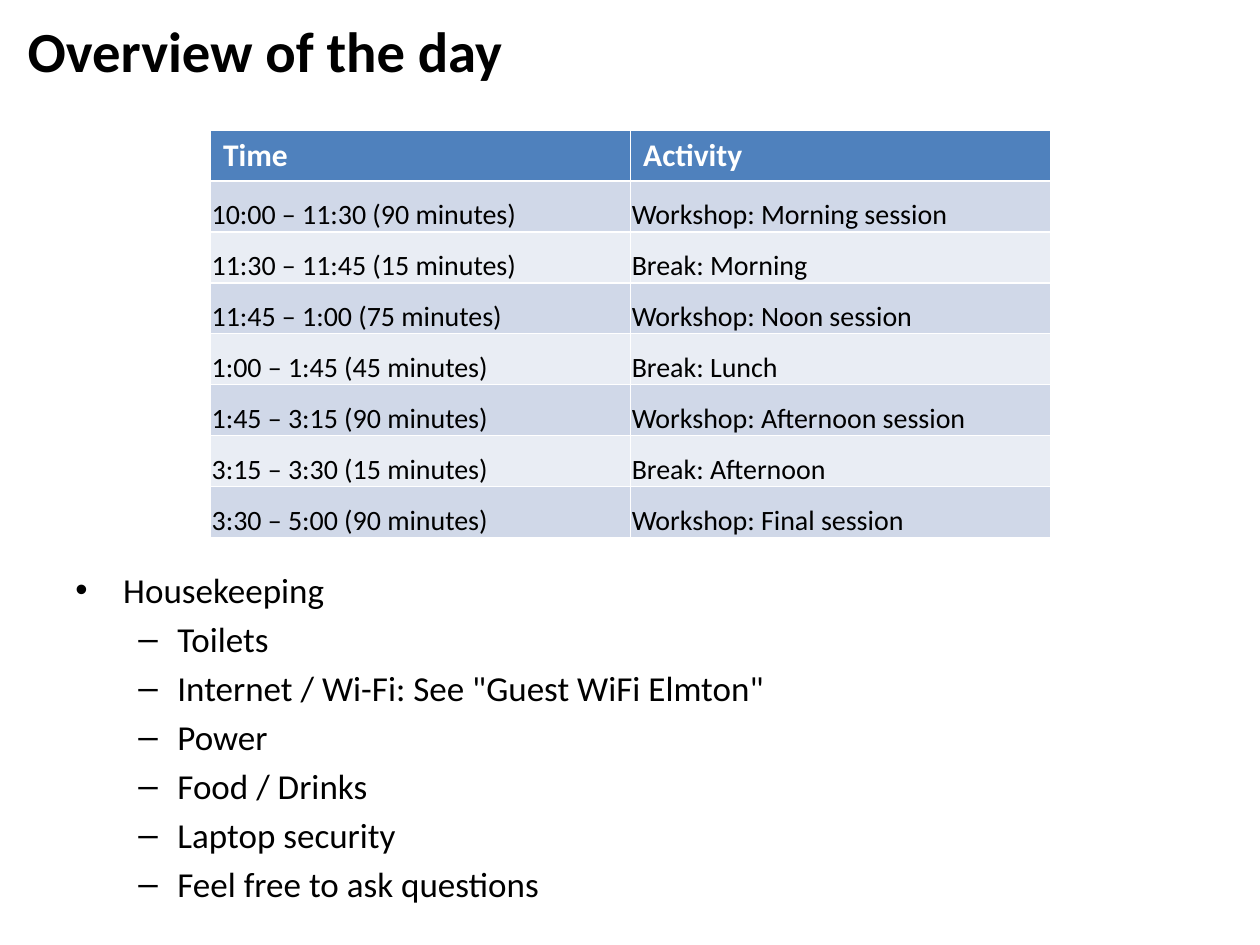
from dataclasses import dataclass
from typing import Any

from lxml.etree import SubElement
from pptx import Presentation
from pptx.dml.color import RGBColor
from pptx.enum.text import MSO_ANCHOR
from pptx.oxml.ns import qn
from pptx.util import Inches, Pt

INK = {"text": "000000", "head": "4F81BD", "pale": "FFFFFF", "odd": "D0D8E8", "even": "E9EDF4"}


@dataclass
class Row:
    time: str
    task: str


@dataclass
class Item:
    text: str
    level: int = 1


@dataclass
class Bullet:
    mark: str
    left: float
    hang: float


ROWS = [
    Row("Time", "Activity"),
    Row("10:00 – 11:30 (90 minutes)", "Workshop: Morning session"),
    Row("11:30 – 11:45 (15 minutes)", "Break: Morning"),
    Row("11:45 – 1:00 (75 minutes)", "Workshop: Noon session"),
    Row("1:00 – 1:45 (45 minutes)", "Break: Lunch"),
    Row("1:45 – 3:15 (90 minutes)", "Workshop: Afternoon session"),
    Row("3:15 – 3:30 (15 minutes)", "Break: Afternoon"),
    Row("3:30 – 5:00 (90 minutes)", "Workshop: Final session"),
]
ITEMS = [
    Item("Housekeeping", 0),
    Item("Toilets"),
    Item('Internet / Wi-Fi: See "Guest WiFi Elmton"'),
    Item("Power"),
    Item("Food / Drinks"),
    Item("Laptop security"),
    Item("Feel free to ask questions"),
]
MARKS = [Bullet("•", 0.38, 0.38), Bullet("–", 0.81, 0.31)]

TITLE = {"size": Pt(32.4), "bold": True, "name": "Calibri"}
BODY = {"size": Pt(20), "bold": False, "name": "Calibri"}
HEAD = {"size": Pt(18), "bold": True, "name": "Calibri"}
CELL = {"size": Pt(16), "bold": False, "name": "Calibri"}
INSET = {
    "vertical_anchor": MSO_ANCHOR.BOTTOM,
    "margin_left": Inches(0.01),
    "margin_right": Inches(0.01),
    "margin_top": Inches(0.01),
    "margin_bottom": Inches(0),
}


def apply(thing: Any, form: dict[str, Any]) -> None:
    for key, value in form.items():
        setattr(thing, key, value)


def write(para: Any, text: str, form: dict[str, Any], ink: str = "text") -> None:
    run = para.add_run()
    run.text = text
    apply(run.font, form)
    run.font.color.rgb = RGBColor.from_string(INK[ink])


def add_box(slide: Any, left: float, top: float, width: float, height: float) -> Any:
    box = slide.shapes.add_textbox(Inches(left), Inches(top), Inches(width), Inches(height))
    box.text_frame.word_wrap = True
    return box.text_frame


def add_mark(para: Any, mark: Bullet) -> None:
    props = para._p.get_or_add_pPr()
    props.set("marL", str(Inches(mark.left)))
    props.set("indent", str(-Inches(mark.hang)))
    SubElement(props, qn("a:buFont"), typeface="Arial")
    SubElement(props, qn("a:buChar"), char=mark.mark)


def draw_title(slide: Any) -> None:
    frame = add_box(slide, 0.12, 0.09, 9.75, 0.61)
    frame.vertical_anchor = MSO_ANCHOR.MIDDLE
    write(frame.paragraphs[0], "Overview of the day", TITLE)


def draw_table(slide: Any) -> None:
    shape = slide.shapes.add_table(
        len(ROWS), 2, Inches(1.67), Inches(1.03), Inches(6.67), Inches(3.24)
    )
    for r, row in enumerate(ROWS):
        fill = "head" if r == 0 else "odd" if r % 2 else "even"
        for c, text in enumerate((row.time, row.task)):
            cell = shape.table.cell(r, c)
            cell.fill.solid()
            cell.fill.fore_color.rgb = RGBColor.from_string(INK[fill])
            para = cell.text_frame.paragraphs[0]
            if r == 0:
                write(para, text, HEAD, "pale")
            else:
                apply(cell, INSET)
                write(para, text, CELL)


def draw_list(slide: Any) -> None:
    frame = add_box(slide, 0.5, 4.46, 9, 2.95)
    for i, item in enumerate(ITEMS):
        para = frame.add_paragraph() if i else frame.paragraphs[0]
        apply(para, {"level": item.level, "space_before": Pt(4)})
        add_mark(para, MARKS[item.level])
        write(para, item.text, BODY)


def main() -> None:
    deck = Presentation()
    apply(deck, {"slide_width": Inches(10), "slide_height": Inches(7.5)})
    slide = deck.slides.add_slide(deck.slide_layouts[6])
    draw_title(slide)
    draw_list(slide)
    draw_table(slide)
    deck.save("out.pptx")


if __name__ == "__main__":
    main()
